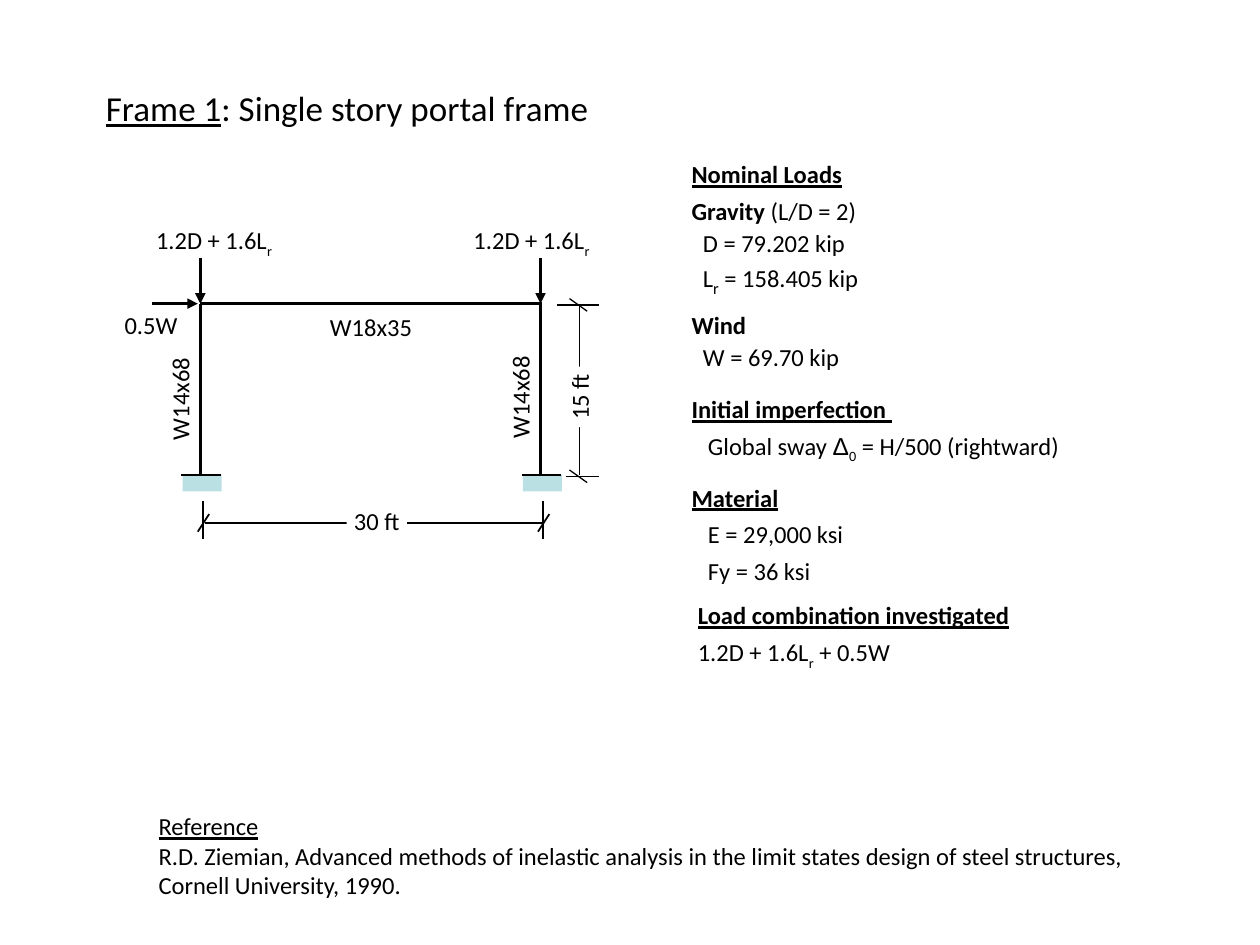
from pptx import Presentation
from pptx.dml.color import RGBColor
from pptx.enum.shapes import MSO_CONNECTOR, MSO_SHAPE
from pptx.enum.text import MSO_ANCHOR, MSO_AUTO_SIZE, PP_ALIGN
from pptx.oxml.ns import qn
from pptx.util import Inches, Pt
from lxml.etree import SubElement

BLACK = RGBColor(0, 0, 0)
WHITE = RGBColor(255, 255, 255)
SUPPORT_BLUE = RGBColor(0xBB, 0xE0, 0xE3)

# Frame grid, in inches
COLUMNS = LEFT, RIGHT = 1.59, 4.29
BEAM, BASE = 2.41, 3.77
SPAN_Y, HEIGHT_X = 4.15, 4.6

deck = Presentation()
deck.slide_width, deck.slide_height = Inches(10), Inches(7.5)
slide = deck.slides.add_slide(deck.slide_layouts[5])
shapes = slide.shapes


def add_line(x1, y1, x2, y2, width, arrow=False):
    line = shapes.add_connector(MSO_CONNECTOR.STRAIGHT, *map(Inches, (x1, y1, x2, y2)))
    line.line.color.rgb = BLACK
    line.line.width = Pt(width)
    if arrow:
        SubElement(line.line._get_or_add_ln(), qn("a:tailEnd"), type="triangle")
    SubElement(line._element.spPr, qn("a:effectLst"))


def write(frame, paragraphs, size=14, spacing=1.0, align=PP_ALIGN.LEFT):
    """Paragraph: (runs, indent, before, after). Run: (text, flags b, u, _ for subscript)."""
    for number, (runs, indent, before, after) in enumerate(paragraphs):
        paragraph = frame.add_paragraph() if number else frame.paragraphs[0]
        paragraph.alignment = align
        paragraph.line_spacing = spacing
        paragraph.space_before, paragraph.space_after = Pt(before), Pt(after)
        if indent:
            paragraph._p.get_or_add_pPr().set("marL", str(Inches(indent)))
        for text, flags in runs:
            run = paragraph.add_run()
            run.text = text
            font = run.font
            font.name = "Arial" if text == "Δ" else "Calibri"
            font.size = Pt(16 if "+" in flags else size)
            font.color.rgb = BLACK
            font.bold, font.underline = "b" in flags, "u" in flags
            if "_" in flags:
                run._r.get_or_add_rPr().set("baseline", "-25000")


# Title
title = shapes.title
title.left, title.top, title.width, title.height = map(Inches, (0.74, 0.64, 4.41, 0.44))
title.text_frame.vertical_anchor = MSO_ANCHOR.TOP
title.text_frame.auto_size = MSO_AUTO_SIZE.NONE
write(title.text_frame,
      [([("Frame 1", "u"), (": Single story portal frame", "")], 0, 0, 0)], size=20)

# Dimension lines with their end ticks
add_line(LEFT + 0.04, SPAN_Y, RIGHT + 0.02, SPAN_Y, 1)
for column in COLUMNS:
    x = column + 0.02
    add_line(x, SPAN_Y - 0.17, x, SPAN_Y + 0.13, 1)
    add_line(x + 0.05, SPAN_Y - 0.07, x - 0.04, SPAN_Y + 0.07, 1)
add_line(HEIGHT_X, BEAM + 0.01, HEIGHT_X, BASE, 0.75)
for level, start in ((BEAM + 0.01, 4.42), (BASE + 0.01, 4.49)):
    add_line(start, level, 4.75, level, 0.75)
    add_line(HEIGHT_X + 0.06, level + 0.05, HEIGHT_X - 0.08, level - 0.05, 0.75)

# Dimension values
for value, x, y, rotation in (("30 ft", 2.75, 4.01, 0), ("15 ft", 4.36, 3.02, 270)):
    dimension = shapes.add_shape(MSO_SHAPE.RECTANGLE, *map(Inches, (x, y, 0.48, 0.26)))
    dimension.shadow.inherit = False
    dimension.fill.solid()
    dimension.fill.fore_color.rgb = WHITE
    dimension.line.fill.background()
    dimension.rotation = rotation
    frame = dimension.text_frame
    frame.margin_left = frame.margin_right = Inches(0.01)
    frame.margin_top = frame.margin_bottom = Inches(0.01)
    frame.vertical_anchor = MSO_ANCHOR.TOP
    write(frame, [([(value, "")], 0, 0, 0)], align=PP_ALIGN.CENTER)

# Beam, columns, supports and loads
add_line(LEFT, BEAM, RIGHT + 0.01, BEAM, 2)
for column in COLUMNS:
    add_line(column, BASE, column, BEAM, 2)
    support = shapes.add_shape(
        MSO_SHAPE.RECTANGLE, *map(Inches, (column - 0.14, BASE, 0.31, 0.13)))
    support.shadow.inherit = False
    support.fill.solid()
    support.fill.fore_color.rgb = SUPPORT_BLUE
    support.line.fill.background()
    add_line(column - 0.15, BASE, column + 0.16, BASE, 1.5)
    add_line(column, BEAM - 0.36, column, BEAM, 1.5, arrow=True)
add_line(LEFT - 0.38, BEAM, LEFT - 0.02, BEAM, 1.5, arrow=True)

# Member and load labels
gravity_load = [("1.2D + 1.6L", ""), ("r", "_")]
labels = [
    ([("W14x68", "")], 1.0, 2.99, 0.86, 270),
    ([("W14x68", "")], 3.7, 2.98, 0.86, 270),
    ([("W18x35", "")], 2.52, 2.43, 0.86, 0),
    (gravity_load, 1.14, 1.74, 1.13, 0),
    (gravity_load, 3.66, 1.74, 1.13, 0),
    ([("0.5W", "")], 0.89, 2.41, 0.63, 0),
]
for runs, x, y, width, rotation in labels:
    label = shapes.add_textbox(*map(Inches, (x, y, width, 0.34)))
    label.rotation = rotation
    label.text_frame.word_wrap = False
    write(label.text_frame, [(runs, 0, 0, 0)])

# Data, load combination and reference
nominal_data = [
    ([("Nominal Loads", "bu")], 0, 0, 3),
    ([("Gravity ", "b"), ("(L/D = 2)", "")], 0, 0, 0),
    ([("D = 79.202 kip", "")], 0.09, 0, 0),
    ([("L", ""), ("r", "_+"), (" = 158.405 kip", "")], 0.09, 0, 6),
    ([("Wind ", "b")], 0, 0, 0),
    ([("W = 69.70 kip", "")], 0.09, 0, 6),
    ([("Initial imperfection ", "bu")], 0, 6, 3),
    ([("Global sway ", ""), ("Δ", ""), ("0", "_"), (" = H/500 (rightward)", "")], 0.13, 0, 3),
    ([("Material", "bu")], 0, 6, 3),
    ([("E = 29,000 ksi", "")], 0.13, 0, 3),
    ([("Fy = 36 ksi", "")], 0.13, 0, 3),
]
combination = [
    ([("Load combination investigated", "bu")], 0, 0, 3),
    (gravity_load + [(" + 0.5W", "")], 0, 0, 0),
]
reference = [
    ([("Reference", "u")], 0, 0, 0),
    ([("R.D. Ziemian, Advanced methods of inelastic analysis in the limit states "
       "design of steel structures, Cornell University, 1990.", "")], 0, 0, 0),
]
for paragraphs, place, spacing in (
    (nominal_data, (5.39, 1.2, 3.38, 4.21), 1.07),
    (combination, (5.44, 4.7, 2.96, 0.71), 1.07),
    (reference, (1.16, 6.39, 7.89, 0.81), 1.0),
):
    block = shapes.add_textbox(*map(Inches, place))
    block.text_frame.word_wrap = True
    write(block.text_frame, paragraphs, spacing=spacing)

deck.save("out.pptx")
